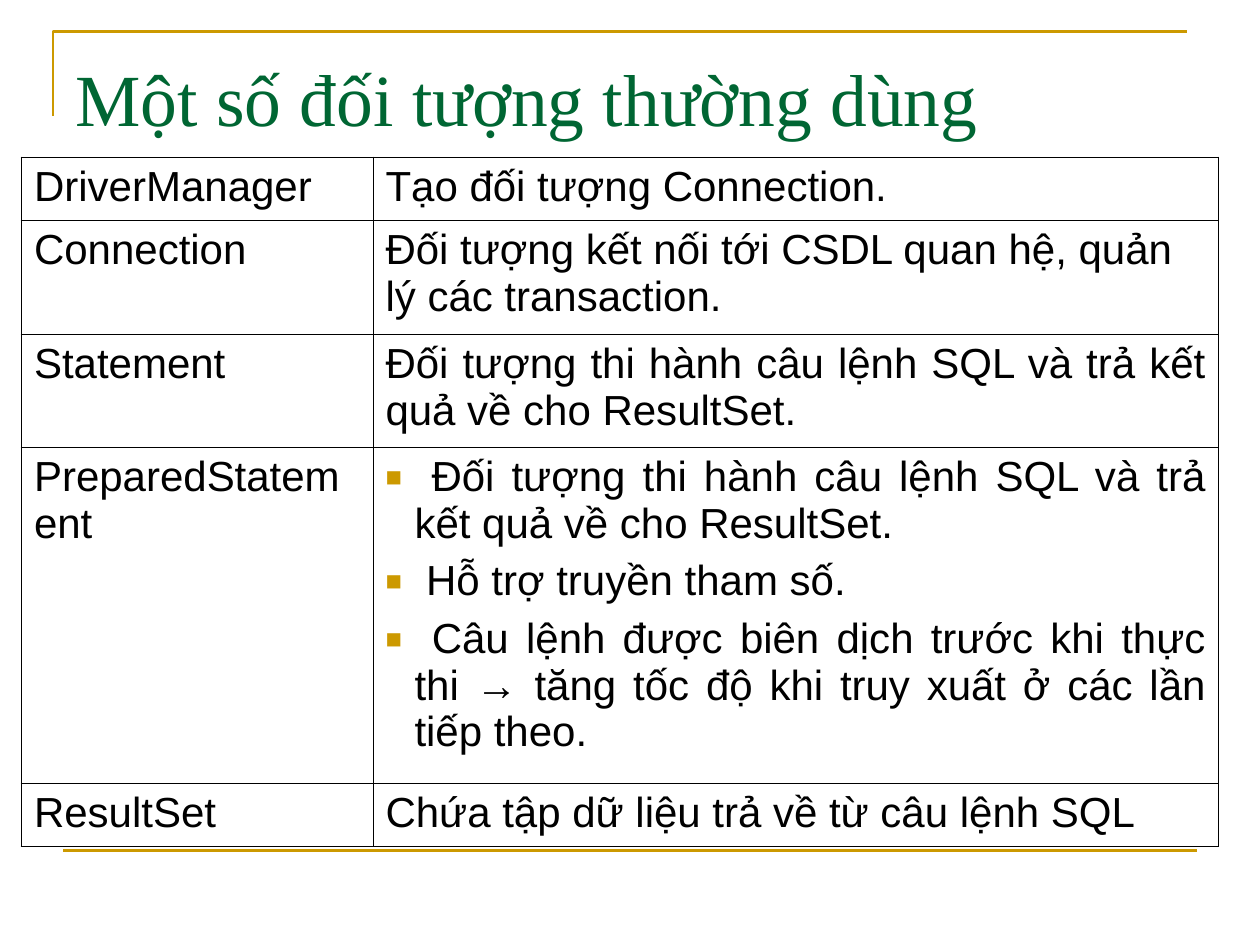
"""Builds the slide that lists common database access objects."""
from lxml.etree import SubElement
from pptx import Presentation
from pptx.dml.color import RGBColor
from pptx.enum.shapes import MSO_CONNECTOR as CONN
from pptx.enum.text import MSO_ANCHOR as ANCHOR, PP_ALIGN as ALIGN
from pptx.oxml.ns import qn
from pptx.util import Pt

SCALE = 9144
COLORS = {"gold": "CC9900", "green": "006633", "black": "000000"}
TITLE = {"size": Pt(42), "name": "Times New Roman"}
BODY = {"size": Pt(24), "name": "Arial"}
THICK, THIN = 1.08, 0.45
COLS = [279, 671]
HEIGHTS = [50, 90, 90, 265, 50]
ROWS = [
    ("DriverManager", ["Tạo đối tượng Connection."], ALIGN.LEFT),
    ("Connection", ["Đối tượng kết nối tới CSDL quan hệ, quản lý các transaction."], ALIGN.LEFT),
    ("Statement", ["Đối tượng thi hành câu lệnh SQL và trả kết quả về cho ResultSet."], ALIGN.JUSTIFY),
    ("PreparedStatement", [
        " Đối tượng thi hành câu lệnh SQL và trả kết quả về cho ResultSet.",
        " Hỗ trợ truyền tham số.",
        " Câu lệnh được biên dịch trước khi thực thi → tăng tốc độ khi truy xuất ở các lần tiếp theo.",
    ], ALIGN.JUSTIFY),
    ("ResultSet", ["Chứa tập dữ liệu trả về từ câu lệnh SQL"], ALIGN.LEFT),
]


def px(n):
    return n * SCALE


def rgb(name):
    return RGBColor.from_string(COLORS[name])


class Deck:
    """Holds the style and the current slide."""

    def __init__(self, width, height):
        self.prs = Presentation()
        self.prs.slide_width, self.prs.slide_height = px(width), px(height)
        self.s = self.prs.slides.add_slide(self.prs.slide_layouts[6])

    def stroke(self, sp):
        sp.line.color.rgb = rgb("gold")
        sp.line.width = Pt(1.5)

    def corner(self, start, *points):
        fb = self.s.shapes.build_freeform(*start, scale=SCALE)
        fb.add_line_segments(points, close=False)
        sp = fb.convert_to_shape()
        sp.shadow.inherit = False
        sp.fill.background()
        self.stroke(sp)

    def rule(self, x1, y1, x2, y2):
        sp = self.s.shapes.add_connector(CONN.STRAIGHT, px(x1), px(y1), px(x2), px(y2))
        SubElement(sp._element.spPr, qn("a:effectLst"))
        self.stroke(sp)

    def fill_text(self, tf, lines, style, color, align=ALIGN.LEFT):
        tf.word_wrap = True
        for i, line in enumerate(lines):
            p = tf.add_paragraph() if i else tf.paragraphs[0]
            p.alignment = align
            if len(lines) > 1:
                self.bullet(p)
            if i:
                p.space_before = Pt(6)
            r = p.add_run()
            r.text = line
            for key, value in style.items():
                setattr(r.font, key, value)
            r.font.color.rgb = rgb(color)

    def bullet(self, p):
        pr = p._p.get_or_add_pPr()
        pr.set("marL", str(px(23)))
        pr.set("indent", str(px(-23)))
        SubElement(SubElement(pr, qn("a:buClr")), qn("a:srgbClr"), val=COLORS["gold"])
        SubElement(pr, qn("a:buSzPct"), val="65000")
        SubElement(pr, qn("a:buFont"), typeface="Arial")
        SubElement(pr, qn("a:buChar"), char="■")

    def title(self, x, y, w, h, text):
        tf = self.s.shapes.add_textbox(px(x), px(y), px(w), px(h)).text_frame
        tf.vertical_anchor = ANCHOR.TOP
        tf.margin_top = px(12)
        self.fill_text(tf, [text], TITLE, "green")

    def borders(self, cell, widths):
        pr = cell._tc.get_or_add_tcPr()
        for side, width in widths.items():
            ln = SubElement(pr, qn(f"a:ln{side}"), w=str(int(Pt(width))))
            SubElement(SubElement(ln, qn("a:solidFill")), qn("a:srgbClr"), val=COLORS["black"])

    def table(self, x, y, cols, heights, rows):
        frame = self.s.shapes.add_table(
            len(rows), len(cols), px(x), px(y), px(sum(cols)), px(sum(heights)))
        tbl = frame.table
        tbl.first_row = tbl.horz_banding = False
        for col, width in zip(tbl.columns, cols):
            col.width = px(width)
        last_row, last_col = len(rows) - 1, len(cols) - 1
        for i, (name, lines, align) in enumerate(rows):
            tbl.rows[i].height = px(heights[i])
            for j, (texts, al) in enumerate([([name], ALIGN.LEFT), (lines, align)]):
                cell = tbl.cell(i, j)
                edges = {"L": j == 0, "R": j == last_col, "T": i == 0, "B": i == last_row}
                self.borders(cell, {k: THICK if outer else THIN for k, outer in edges.items()})
                cell.fill.background()
                cell.margin_left = cell.margin_right = px(10)
                cell.margin_top = cell.margin_bottom = px(5)
                self.fill_text(cell.text_frame, texts, BODY, "black", al)


def main():
    deck = Deck(1000, 750)
    deck.corner((42, 92), (42, 25), (942, 25))
    deck.rule(50, 675, 950, 675)
    deck.title(50, 30, 900, 125, "Một số đối tượng thường dùng")
    deck.table(17, 125, COLS, HEIGHTS, ROWS)
    deck.prs.save("out.pptx")


if __name__ == "__main__":
    main()
